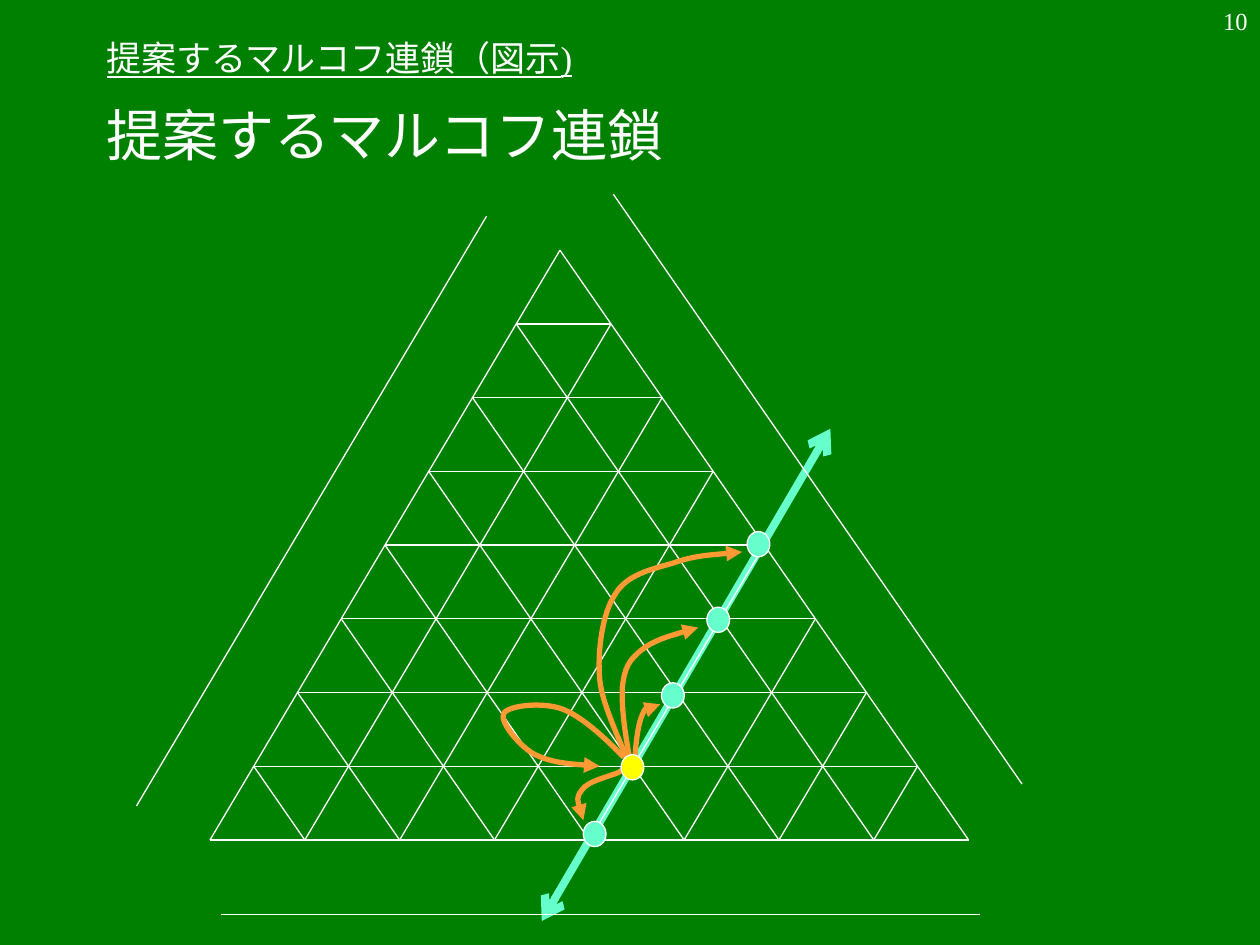
from dataclasses import dataclass

from lxml.etree import SubElement
from pptx import Presentation
from pptx.dml.color import RGBColor
from pptx.enum.shapes import MSO_CONNECTOR, MSO_SHAPE
from pptx.enum.text import MSO_ANCHOR, PP_ALIGN
from pptx.oxml.ns import qn
from pptx.util import Pt


@dataclass(frozen=True)
class Theme:
    font: str = "Times New Roman"
    green: str = "008000"
    white: str = "FFFFFF"
    mint: str = "66FFCC"
    orange: str = "FF9933"
    yellow: str = "FFFF00"
    title: int = 20
    body: int = 32
    page: int = 14
    thin: float = 0.75
    curve: float = 3
    axis: float = 4.5


class Pen:
    def __init__(self, slide, theme):
        self.slide = slide
        self.theme = theme
        self.paint(slide.background.fill, theme.green)

    def group(self):
        return self.slide.shapes.add_group_shape().shapes

    def paint(self, fill, color):
        fill.solid()
        fill.fore_color.rgb = RGBColor.from_string(color)

    def stroke(self, line, color, width, head=None, tail=None):
        line.color.rgb = RGBColor.from_string(color)
        line.width = Pt(width)
        for tag, kind in (("a:headEnd", head), ("a:tailEnd", tail)):
            if kind:
                SubElement(line._get_or_add_ln(), qn(tag), type=kind)

    def text(self, box, words, size, under=None, align=PP_ALIGN.LEFT,
             anchor=MSO_ANCHOR.TOP):
        frame = self.slide.shapes.add_textbox(*map(Pt, box)).text_frame
        frame.word_wrap = True
        frame.vertical_anchor = anchor
        frame.text = words
        para = frame.paragraphs[0]
        para.alignment = align
        font = para.runs[0].font
        font.name = self.theme.font
        font.size = Pt(size)
        font.underline = under
        font.color.rgb = RGBColor.from_string(self.theme.white)

    def link(self, start, end, color, width, arrow=None):
        ends = map(Pt, (*start, *end))
        link = self.slide.shapes.add_connector(MSO_CONNECTOR.STRAIGHT, *ends)
        self.stroke(link.line, color, width, arrow, arrow)
        SubElement(link._element.spPr, qn("a:effectLst"))

    def line(self, start, end):
        self.link(start, end, self.theme.white, self.theme.thin)

    def axis(self, start, end):
        self.link(start, end, self.theme.mint, self.theme.axis, "arrow")

    def curve(self, home, points):
        spots = [(Pt(x), Pt(y)) for x, y in points]
        form = home.build_freeform(*spots[0])
        form.add_line_segments(spots[1:], close=False)
        shape = form.convert_to_shape()
        shape.shadow.inherit = False
        shape.fill.background()
        self.stroke(shape.line, self.theme.orange, self.theme.curve,
                    tail="triangle")
        self.bend(shape._element.find(".//" + qn("a:path")))

    def bend(self, track):
        steps = track.findall(qn("a:lnTo"))
        for first in range(0, len(steps), 3):
            cubic = SubElement(track, qn("a:cubicBezTo"))
            for step in steps[first:first + 3]:
                cubic.append(step[0])
                track.remove(step)

    def dot(self, home, center, color):
        wide, high = 13, 14.4
        x, y = center
        shape = home.add_shape(MSO_SHAPE.OVAL, Pt(x - wide / 2),
                               Pt(y - high / 2), Pt(wide), Pt(high))
        shape.shadow.inherit = False
        self.paint(shape.fill, color)
        self.stroke(shape.line, self.theme.white, self.theme.thin)


ROWS = 8
APEX, LEFT, RIGHT = (320, 143), (120, 480), (553.5, 480)
CORNERS = [
    (APEX, LEFT, RIGHT),
    (LEFT, APEX, RIGHT),
    (RIGHT, APEX, LEFT),
]
SIDES = [
    (APEX, LEFT, (-42, -19.4)),
    (APEX, RIGHT, (30.5, -32)),
    (LEFT, RIGHT, (6.5, 42.4)),
]
AXIS = (474.5, 245), (309.6, 526.3)
START = (361.4, 438.5)
STATES = [(384.5, 397.4), (410.4, 354.2), (433.4, 311), (339.8, 476.6)]
MOVES = {
    "down": [
        (356.4, 438.5), (357, 439.2), (357, 439.2), (353.5, 441.4),
        (349, 443.5), (335.5, 446.4), (332.6, 451.4),
        (329, 456), (331, 462), (333.4, 468.7)],
    "stay": [
        (356.4, 432.7), (345, 421), (332.6, 409.7), (321.8, 405.4),
        (311, 401), (291, 403), (288, 407.5),
        (285, 412), (296, 425.5), (304.6, 430.6),
        (314, 435.6), (328.3, 437), (342.7, 437.8)],
    "up one": [
        (363, 431.3), (363.6, 422), (365, 412.6), (367.2, 408.2),
        (369.4, 403.2), (373.7, 403.2), (377.3, 402.5)],
    "up two": [
        (360, 434.2), (357, 418.3), (355, 403.2), (355.7, 392.4),
        (357, 381.6), (359.3, 377.3), (366.5, 371.5),
        (373.7, 365.8), (386.6, 362.2), (399, 358.6)],
    "up three": [
        (358.6, 435), (356.4, 427), (344.2, 404), (342.7, 388),
        (341.3, 372.2), (344.2, 350.6), (351.4, 339.8),
        (358, 328.3), (372.2, 325.4), (384.5, 321.8),
        (396.7, 317.5), (410.4, 316.8), (424, 315.4)],
}


def blend(start, end, step):
    return tuple(a + (b - a) * step / ROWS for a, b in zip(start, end))


def shift(point, move):
    return tuple(a + b for a, b in zip(point, move))


def grid(pen):
    for tip, one, two in CORNERS:
        for step in range(1, ROWS + 1):
            pen.line(blend(tip, one, step), blend(tip, two, step))


def frame(pen):
    for start, end, move in SIDES:
        pen.line(shift(start, move), shift(end, move))


def chain(pen):
    moves = pen.group()
    for points in MOVES.values():
        pen.curve(moves, points)
    states = pen.group()
    for center in STATES:
        pen.dot(states, center, pen.theme.mint)
    pen.dot(pen.slide.shapes, START, pen.theme.yellow)


def main():
    deck = Presentation()
    deck.slide_width, deck.slide_height = Pt(720), Pt(540)
    theme = Theme()
    pen = Pen(deck.slides.add_slide(deck.slide_layouts[6]), theme)

    pen.axis(*AXIS)
    pen.text((54, 24, 462, 18), "提案するマルコフ連鎖（図示)", theme.title,
             under=True, anchor=MSO_ANCHOR.MIDDLE)
    pen.text((54, 54, 642, 444), "提案するマルコフ連鎖", theme.body)
    grid(pen)
    frame(pen)
    chain(pen)
    pen.text((570, 0, 150, 36), "10", theme.page, align=PP_ALIGN.RIGHT)
    deck.save("out.pptx")


if __name__ == "__main__":
    main()
